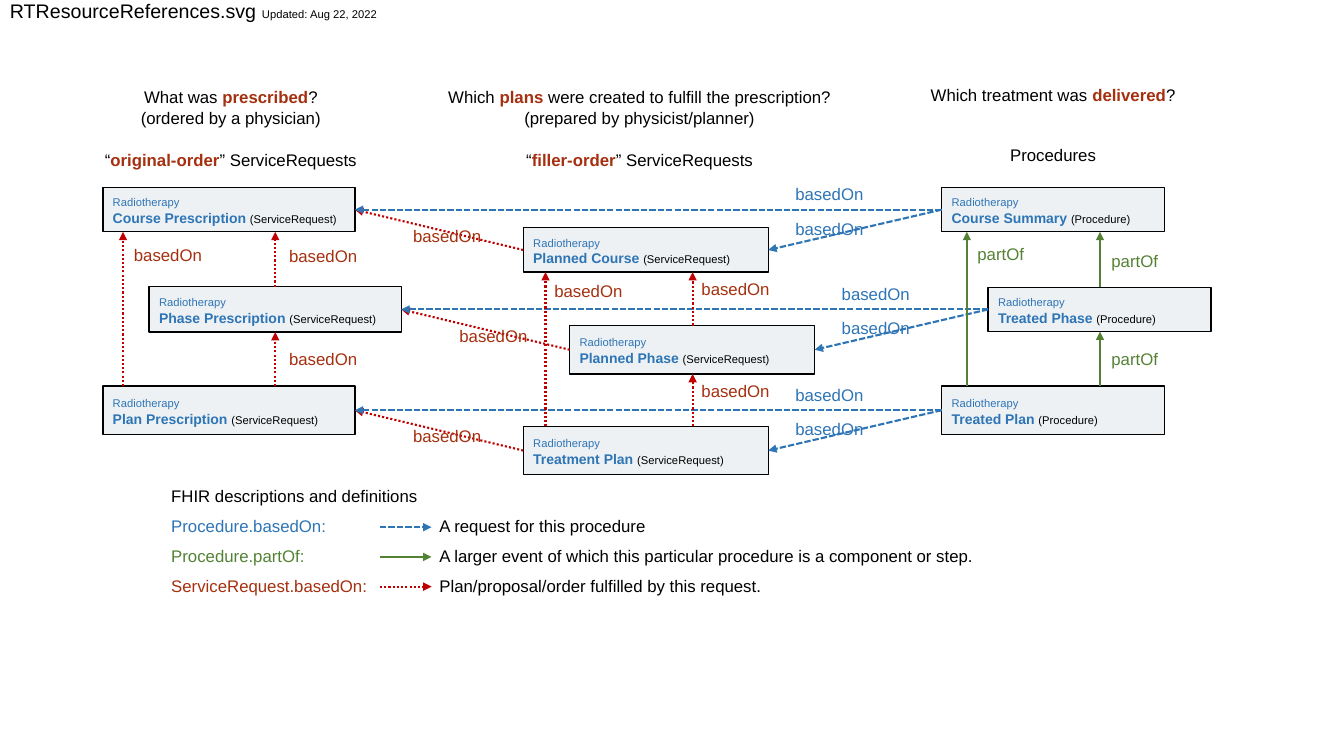
from lxml.etree import SubElement
from pptx import Presentation
from pptx.dml.color import RGBColor
from pptx.enum.dml import MSO_LINE
from pptx.enum.shapes import MSO_CONNECTOR, MSO_SHAPE
from pptx.enum.text import MSO_ANCHOR, PP_ALIGN
from pptx.oxml.ns import qn
from pptx.util import Inches, Pt

COLORS = {"black": "000000", "white": "FFFFFF", "box": "EDF1F3", "blue": "2E75B6",
          "green": "548235", "rust": "A5300F", "red": "C00000"}
DASHES = {"blue": MSO_LINE.SQUARE_DOT, "red": MSO_LINE.ROUND_DOT, "green": None}

# Each row has a centre line; the middle row is shifted right
MIDS = (2.08, 3.07, 4.07)
SHIFTS = (0, 0.46, 0)

# left, width, drop below the row centre, box heights, kind, names
COLUMNS = {
    "order": (1.02, 2.5, 0, (0.44, 0.45, 0.48), "(ServiceRequest)",
              ("Course Prescription", "Phase Prescription", "Plan Prescription")),
    "plan": (5.19, 2.43, 0.4, (0.44, 0.48, 0.48), "(ServiceRequest)",
             ("Planned Course", "Planned Phase", "Treatment Plan")),
    "proc": (9.34, 2.21, 0, (0.44, 0.44, 0.48), "(Procedure)",
             ("Course Summary", "Treated Phase", "Treated Plan")),
}

# left, width, line spacing, space after, space before the last line, lines
HEADS = (
    (0.77, 3.04, 1, 1, 14, ("What was *prescribed*?", "(ordered by a physician)",
                            "“*original-order*” ServiceRequests")),
    (4.21, 4.27, 1, 1, 14, ("Which *plans* were created to fulfill the prescription?",
                            "(prepared by physicist/planner)",
                            "“*filler-order*” ServiceRequests")),
    (8.66, 3.57, 0.9, 8, 22, ("Which treatment was *delivered*?", "Procedures")),
)

# column, arrow x, label x, label width, label tops, text, line colour, text colour
STEPS = (
    ("order", 2.73, 2.71, 0.99, (2.41, 3.43), "basedOn", "red", "rust"),
    ("plan", 6.87, 6.8, 0.99, (2.74, 3.75), "basedOn", "red", "rust"),
    ("proc", 10.91, 10.79, 0.93, (2.46, 3.43), "partOf", "green", "green"),
)

# column, arrow x, label x, label width, label top, text, line colour, text colour, align
LEAPS = (
    ("order", 1.22, 1.23, 1.23, 2.4, "basedOn", "red", "rust", PP_ALIGN.LEFT),
    ("plan", 5.41, 5.4, 1.27, 2.76, "basedOn", "red", "rust", PP_ALIGN.LEFT),
    ("proc", 9.59, 9.4, 1.05, 2.39, "partOf", "green", "green", PP_ALIGN.CENTER),
)

LEGEND = (
    ("Procedure.basedOn:", "blue", "blue", "A request for this procedure"),
    ("Procedure.partOf:", "green", "green",
     "A larger event of which this particular procedure is a component or step."),
    ("ServiceRequest.basedOn:", "rust", "red",
     "Plan/proposal/order fulfilled by this request."),
)


def rgb(name):
    return RGBColor.from_string(COLORS[name])


def write(para, text, size=12, color="black", bold=False):
    run = para.add_run()
    run.text = text
    run.font.name = "Arial"
    run.font.size = Pt(size)
    run.font.bold = bold
    run.font.color.rgb = rgb(color)


def add_frame(slide, x, y, width, height):
    frame = slide.shapes.add_textbox(*map(Inches, (x, y, width, height))).text_frame
    frame.word_wrap = True
    return frame


def add_para(frame, first, align=PP_ALIGN.LEFT, line=0.9, after=8, before=0):
    para = frame.paragraphs[0] if first else frame.add_paragraph()
    para.alignment = align
    para.line_spacing = line
    para.space_after = Pt(after)
    para.space_before = Pt(before)
    return para


def add_label(slide, text, x, y, width=0.93, color="rust", align=PP_ALIGN.CENTER):
    frame = add_frame(slide, x, y, width, 0.36)
    write(add_para(frame, True, align), text, color=color)


def add_arrow(slide, start, end, color):
    arrow = slide.shapes.add_connector(MSO_CONNECTOR.STRAIGHT, *map(Inches, start + end))
    arrow.line.color.rgb = rgb(color)
    arrow.line.width = Pt(1.5)
    if DASHES[color]:
        arrow.line.dash_style = DASHES[color]
    SubElement(arrow.line._get_or_add_ln(), qn("a:tailEnd"), type="triangle")
    SubElement(arrow._element.spPr, qn("a:effectLst"))


def add_box(slide, place, name, kind):
    box = slide.shapes.add_shape(MSO_SHAPE.RECTANGLE, *map(Inches, place))
    box.shadow.inherit = False
    box.fill.solid()
    box.fill.fore_color.rgb = rgb("box")
    box.line.color.rgb = rgb("black")
    box.line.width = Pt(1)
    frame = box.text_frame
    frame.word_wrap = True
    frame.vertical_anchor = MSO_ANCHOR.MIDDLE
    top = add_para(frame, True, line=1, after=0)
    write(top, "Radiotherapy", size=8, color="blue")
    write(top, " ", size=10, color="blue")
    low = add_para(frame, False, line=1, after=0)
    write(low, name + " ", size=10, color="blue", bold=True)
    write(low, kind, size=8)


def place_box(col, row):
    left, width, drop, heights = COLUMNS[col][:4]
    high = heights[row]
    return left + SHIFTS[row], MIDS[row] + drop - high / 2, width, high


def add_link(slide, row, start, end, color):
    """Arrow from the left side of one box to the right side of another."""
    x, y, _, high = place_box(start, row)
    left, top, width, tall = place_box(end, row)
    add_arrow(slide, (x, y + high / 2), (left + width, top + tall / 2), color)


def add_rise(slide, col, x, low, high, color):
    """Arrow from the top of a lower box to the bottom of a higher one."""
    _, top, _, tall = place_box(col, high)
    add_arrow(slide, (x, place_box(col, low)[1]), (x, top + tall), color)


def add_head(slide, x, width, line, after, gap, lines):
    frame = add_frame(slide, x, 0.81, width, 1.58)
    for i, text in enumerate(lines):
        before = gap if i == len(lines) - 1 else 0
        para = add_para(frame, i == 0, PP_ALIGN.CENTER, line, after, before)
        for j, part in enumerate(text.split("*")):
            strong = j % 2 == 1
            write(para, part, color="rust" if strong else "black", bold=strong)


def add_legend(slide):
    frame = add_frame(slide, 1.6, 4.79, 9.76, 1.02)
    write(add_para(frame, True, after=8.5), "FHIR descriptions and definitions")
    for i, (term, color, stroke, text) in enumerate(LEGEND):
        para = add_para(frame, False, after=8.5)
        tabs = SubElement(para._p.get_or_add_pPr(), qn("a:tabLst"))
        SubElement(tabs, qn("a:tab"), pos=str(Inches(2.66)), algn="l")
        write(para, term, color=color)
        write(para, "\t" + text)
        y = 5.23 + i * 0.295
        add_arrow(slide, (3.77, y), (4.28, y), stroke)


def main():
    deck = Presentation()
    deck.slide_width, deck.slide_height = Inches(13.33), Inches(7.5)
    slide = deck.slides.add_slide(deck.slide_layouts[6])
    slide.background.fill.solid()
    slide.background.fill.fore_color.rgb = rgb("white")

    # Title and column headings
    title = add_para(add_frame(slide, 0, -0.03, 12.3, 0.68), True, after=0)
    write(title, "RTResourceReferences.svg\t", size=14)
    write(title, "Updated: Aug 22, 2022", size=8)
    for head in HEADS:
        add_head(slide, *head)

    # Resource boxes
    for col, (*_, kind, names) in COLUMNS.items():
        for row, name in enumerate(names):
            add_box(slide, place_box(col, row), name, kind)

    # Links across the columns
    for row, (mid, shift) in enumerate(zip(MIDS, SHIFTS)):
        add_link(slide, row, "proc", "plan", "blue")
        add_link(slide, row, "plan", "order", "red")
        add_link(slide, row, "proc", "order", "blue")
        for rise in (-0.28, 0.06):
            add_label(slide, "basedOn", 7.79 + shift, mid + rise,
                      color="blue", align=PP_ALIGN.LEFT)
        add_label(slide, "basedOn", 3.97 + shift, mid + 0.13)

    # Links within a column
    for col, x, left, width, tops, text, stroke, color in STEPS:
        for row, top in enumerate(tops):
            add_rise(slide, col, x, row + 1, row, stroke)
            add_label(slide, text, left, top, width, color)
    for col, x, left, width, top, text, stroke, color, align in LEAPS:
        add_rise(slide, col, x, 2, 0, stroke)
        add_label(slide, text, left, top, width, color, align)

    add_legend(slide)
    deck.save("out.pptx")


main()
